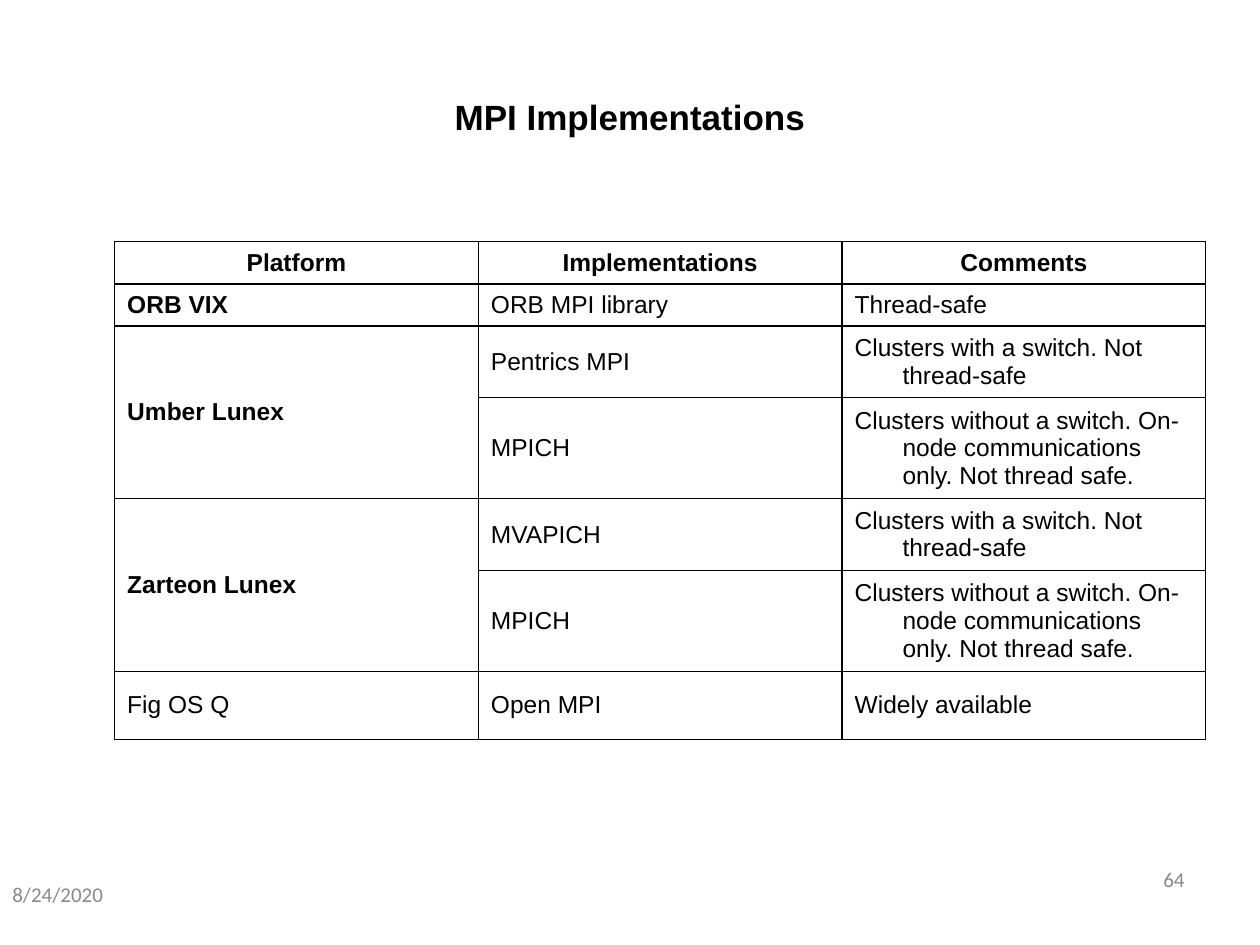
from dataclasses import dataclass

from lxml.etree import SubElement
from pptx import Presentation
from pptx.dml.color import RGBColor
from pptx.enum.text import MSO_ANCHOR as Anchor, PP_ALIGN as Align
from pptx.oxml.ns import qn
from pptx.util import Inches, Pt


@dataclass(frozen=True)
class Theme:
    ink: str = "000000"
    muted: str = "898989"
    body_font: str = "Arial"
    footer_font: str = "Calibri"
    title_size: int = 20
    table_size: int = 14
    footer_size: int = 12
    border: float = 0.75


THEME = Theme()
TITLE = dict(size=Pt(THEME.title_size), name=THEME.body_font, bold=True)
CELL = dict(size=Pt(THEME.table_size), name=THEME.body_font)
FOOTER = dict(size=Pt(THEME.footer_size), name=THEME.footer_font)

HEADER = ("Platform", "Implementations", "Comments")
SWITCH = "Clusters with a switch. Not thread-safe"
NO_SWITCH = "Clusters without a switch. On-node communications only. Not thread safe."
PLATFORMS = [
    ("ORB VIX", True, [("ORB MPI library", "Thread-safe")]),
    ("Umber Lunex", True, [("Pentrics MPI", SWITCH), ("MPICH", NO_SWITCH)]),
    ("Zarteon Lunex", True, [("MVAPICH", SWITCH), ("MPICH", NO_SWITCH)]),
    ("Fig OS Q", False, [("Open MPI", "Widely available")]),
]
ROW_HEIGHTS = (0.33, 0.33, 0.57, 0.8, 0.57, 0.8, 0.54)


def write(tf, text, font, color=THEME.ink, align=Align.LEFT):
    p = tf.paragraphs[0]
    p.alignment = align
    r = p.add_run()
    r.text = text
    for name, value in font.items():
        setattr(r.font, name, value)
    r.font.color.rgb = RGBColor.from_string(color)
    return p


def add_text(s, box, text, font, anchor=Anchor.TOP, **style):
    tf = s.shapes.add_textbox(*map(Inches, box)).text_frame
    tf.word_wrap = True
    tf.vertical_anchor = anchor
    write(tf, text, font, **style)


def add_borders(cell):
    tcPr = cell._tc.get_or_add_tcPr()
    for index, side in enumerate(("lnL", "lnR", "lnT", "lnB")):
        ln = tcPr.makeelement(qn(f"a:{side}"), {"w": str(Pt(THEME.border))})
        fill = SubElement(ln, qn("a:solidFill"))
        SubElement(fill, qn("a:srgbClr"), val=THEME.ink)
        tcPr.insert(index, ln)


def fill_cell(cell, text, bold=False, align=Align.LEFT):
    """Write a cell whose wrapped lines hang to the right of the first."""
    cell.vertical_anchor = Anchor.MIDDLE
    p = write(cell.text_frame, text, {**CELL, "bold": bold}, align=align)
    pPr = p._p.get_or_add_pPr()
    pPr.set("marL", str(Inches(0.38)))
    pPr.set("indent", str(Inches(-0.38)))


def add_platform_table(s, box):
    shape = s.shapes.add_table(len(ROW_HEIGHTS), len(HEADER), *map(Inches, box))
    table = shape.table
    table.first_row = table.horz_banding = False
    for column in table.columns:
        column.width = Inches(box[2] / len(HEADER))
    for row, height in zip(table.rows, ROW_HEIGHTS):
        row.height = Inches(height)
    for cell in table.iter_cells():
        cell.fill.background()
        cell.margin_left = cell.margin_right = Inches(0.1)
        cell.margin_top = cell.margin_bottom = Inches(0.05)
        add_borders(cell)

    for col, text in enumerate(HEADER):
        fill_cell(table.cell(0, col), text, bold=True, align=Align.CENTER)
    top = 1
    for platform, bold, libraries in PLATFORMS:
        last = top + len(libraries) - 1
        if last > top:
            table.cell(top, 0).merge(table.cell(last, 0))
        fill_cell(table.cell(top, 0), platform, bold)
        for row, texts in enumerate(libraries, top):
            for col, text in enumerate(texts, 1):
                fill_cell(table.cell(row, col), text)
        top = last + 1


def main():
    prs = Presentation()
    prs.slide_width, prs.slide_height = Inches(10), Inches(7.5)
    s = prs.slides.add_slide(prs.slide_layouts[6])
    add_text(s, (0.5, 0.3, 9, 1.25), "MPI Implementations", TITLE,
             anchor=Anchor.MIDDLE, align=Align.CENTER)
    add_platform_table(s, (0.91, 1.92, 8.66, sum(ROW_HEIGHTS)))
    add_text(s, (7.17, 6.83, 2.33, 0.52), "64", FOOTER,
             color=THEME.muted, align=Align.RIGHT)
    add_text(s, (0, 6.95, 2.33, 0.4), "8/24/2020", FOOTER, color=THEME.muted)
    prs.save("out.pptx")


if __name__ == "__main__":
    main()
